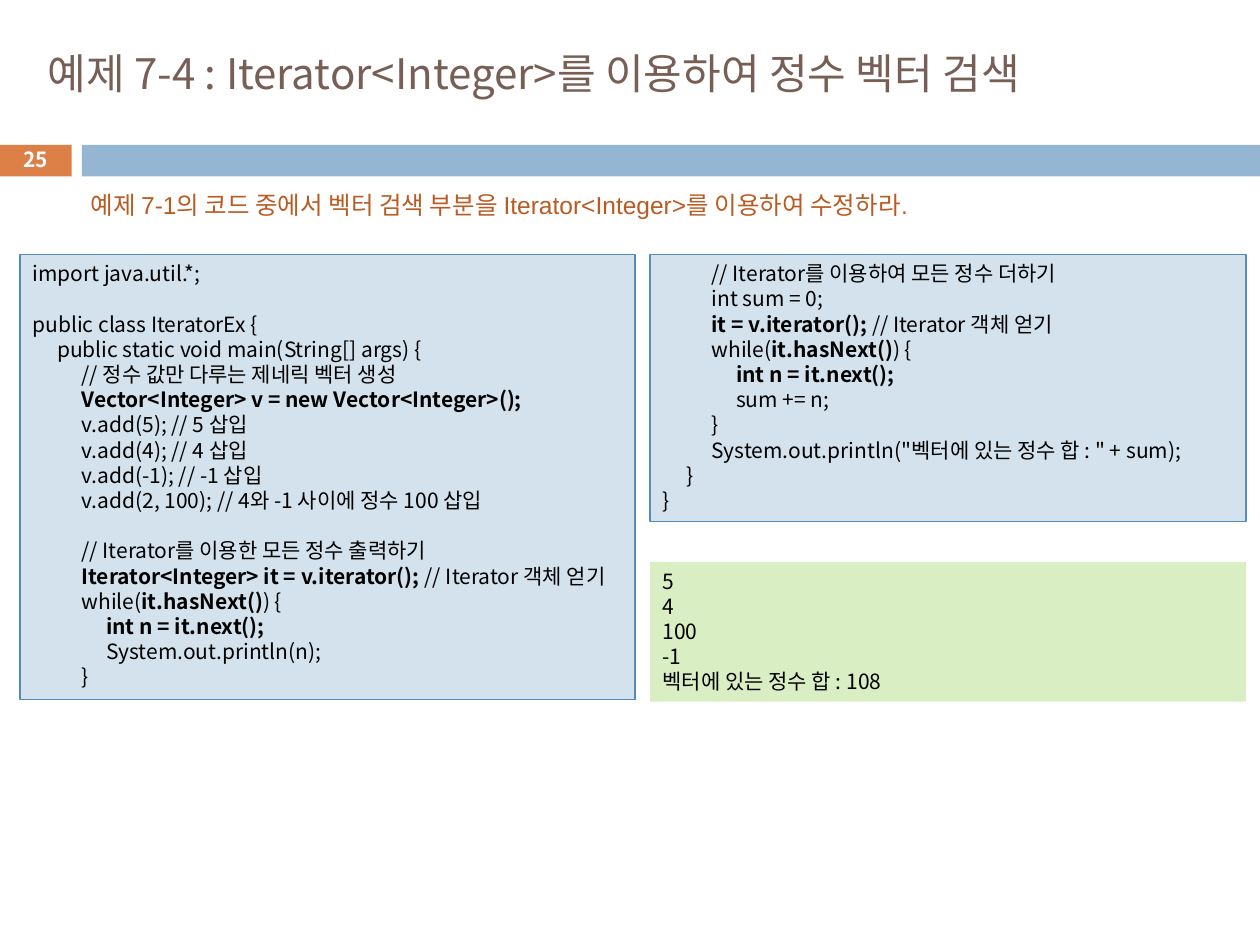
from lxml import etree
from pptx import Presentation
from pptx.dml.color import RGBColor
from pptx.enum.shapes import MSO_SHAPE
from pptx.enum.text import MSO_ANCHOR, PP_ALIGN
from pptx.oxml.ns import qn
from pptx.util import Inches, Pt

RECTANGLE = MSO_SHAPE.RECTANGLE
TOP, MIDDLE = MSO_ANCHOR.TOP, MSO_ANCHOR.MIDDLE
LEFT, CENTER = PP_ALIGN.LEFT, PP_ALIGN.CENTER

BLACK = RGBColor(0x00, 0x00, 0x00)
WHITE = RGBColor(0xFF, 0xFF, 0xFF)
BROWN = RGBColor(0x77, 0x5F, 0x55)
ORANGE = RGBColor(0xDD, 0x80, 0x47)
DARK_ORANGE = RGBColor(0xB9, 0x5B, 0x22)
BLUE = RGBColor(0x94, 0xB6, 0xD2)
PALE_BLUE = RGBColor(0xD4, 0xE2, 0xED)
BORDER_BLUE = RGBColor(0x55, 0x8B, 0xB8)
PALE_GREEN = RGBColor(0xDA, 0xEE, 0xC4)

KOREAN_FONT = "Noto Sans CJK KR"
LINE_PITCH = Pt(14.4)
TAB_WIDTH = Pt(14)
BOLD_MARK = "**"

# Code listings: ** switches bold on and off, an empty line leaves a gap
PRINT_CODE = """import java.util.*;

public class IteratorEx {
\tpublic static void main(String[] args) {
\t\t// 정수 값만 다루는 제네릭 벡터 생성
\t\t**Vector<Integer> v = new Vector<Integer>();**
\t\tv.add(5); // 5 삽입
\t\tv.add(4); // 4 삽입
\t\tv.add(-1); // -1 삽입
\t\tv.add(2, 100); // 4와 -1 사이에 정수 100 삽입

\t\t// Iterator를 이용한 모든 정수 출력하기
\t\t**Iterator<Integer> it = v.iterator(); **// Iterator 객체 얻기
\t\twhile(**it.hasNext()**) {
\t\t\t**int n = it.next();**
\t\t\tSystem.out.println(n);
\t\t}"""

SUM_CODE = """\t\t// Iterator를 이용하여 모든 정수 더하기
\t\tint sum = 0;
\t\t**it = v.iterator(); **// Iterator 객체 얻기
\t\twhile(**it.hasNext()**) {
\t\t\t**int n = it.next();**
\t\t\tsum += n;
\t\t}
\t\tSystem.out.println("벡터에 있는 정수 합 : " + sum);
\t}
}"""

OUTPUT = """5
4
100
-1
벡터에 있는 정수 합 : 108"""


def add_run(paragraph, text, size, color, bold=False, font=KOREAN_FONT):
    run = paragraph.add_run()
    run.text = text
    run.font.size = Pt(size)
    run.font.bold = bold
    run.font.color.rgb = color
    run.font.name = font
    east_asian = etree.SubElement(run.font._element, qn("a:ea"))
    east_asian.set("typeface", KOREAN_FONT)


def add_box(slide, left, top, width, height, fill, border=None):
    box = slide.shapes.add_shape(
        RECTANGLE, Inches(left), Inches(top), Inches(width), Inches(height))
    box.shadow.inherit = False
    box.fill.solid()
    box.fill.fore_color.rgb = fill
    if border is None:
        box.line.fill.background()
    else:
        box.line.color.rgb = border
        box.line.width = Pt(0.75)
    return box


def add_label(slide, left, top, width, height, text, size, color,
              anchor=MIDDLE, alignment=LEFT, **run_format):
    label = slide.shapes.add_textbox(
        Inches(left), Inches(top), Inches(width), Inches(height))
    frame = label.text_frame
    frame.word_wrap = True
    frame.vertical_anchor = anchor
    paragraph = frame.paragraphs[0]
    paragraph.alignment = alignment
    add_run(paragraph, text, size, color, **run_format)


def set_tab_stops(paragraph):
    tab_list = etree.SubElement(
        paragraph._p.get_or_add_pPr(), qn("a:tabLst"))
    for level in range(1, 4):
        tab = etree.SubElement(tab_list, qn("a:tab"))
        tab.set("pos", str(level * TAB_WIDTH))
        tab.set("algn", "l")


def add_listing(slide, left, top, width, height, text, fill, border=None):
    box = add_box(slide, left, top, width, height, fill, border)
    frame = box.text_frame
    frame.word_wrap = True
    frame.vertical_anchor = TOP
    paragraph = frame.paragraphs[0]
    gap_before = False
    for number, line in enumerate(text.split("\n")):
        if not line:
            gap_before = True
            continue
        if number > 0:
            paragraph = frame.add_paragraph()
        paragraph.alignment = LEFT
        paragraph.line_spacing = LINE_PITCH
        if gap_before:
            paragraph.space_before = LINE_PITCH
            gap_before = False
        set_tab_stops(paragraph)
        for index, part in enumerate(line.split(BOLD_MARK)):
            if part:
                add_run(paragraph, part, 12, BLACK, bold=index % 2 == 1)


def main():
    presentation = Presentation()
    presentation.slide_width = Inches(10)
    presentation.slide_height = Inches(7.5)
    slide = presentation.slides.add_slide(presentation.slide_layouts[6])

    # Title and header band with the slide number
    add_box(slide, 0, 1.15, 0.57, 0.25, ORANGE)
    add_box(slide, 0.65, 1.15, 9.35, 0.25, BLUE)
    add_label(slide, 0.28, 0.13, 9.5, 0.89,
              "예제 7-4 : Iterator<Integer>를 이용하여 정수 벡터 검색", 24, BROWN)
    add_label(slide, 0, 1.13, 0.57, 0.27, "25", 11.9, WHITE,
              alignment=CENTER, bold=True)

    # Task
    add_label(slide, 0.62, 1.46, 9.1, 0.34,
              "예제 7-1의 코드 중에서 벡터 검색 부분을 Iterator<Integer>를 이용하여 수정하라.",
              14, DARK_ORANGE, anchor=TOP, font="Arial")

    # Code and its output
    add_listing(slide, 0.16, 2.02, 4.88, 3.53, PRINT_CODE, PALE_BLUE, BORDER_BLUE)
    add_listing(slide, 5.16, 2.02, 4.73, 2.12, SUM_CODE, PALE_BLUE, BORDER_BLUE)
    add_listing(slide, 5.16, 4.46, 4.73, 1.11, OUTPUT, PALE_GREEN)

    presentation.save("out.pptx")


if __name__ == "__main__":
    main()
